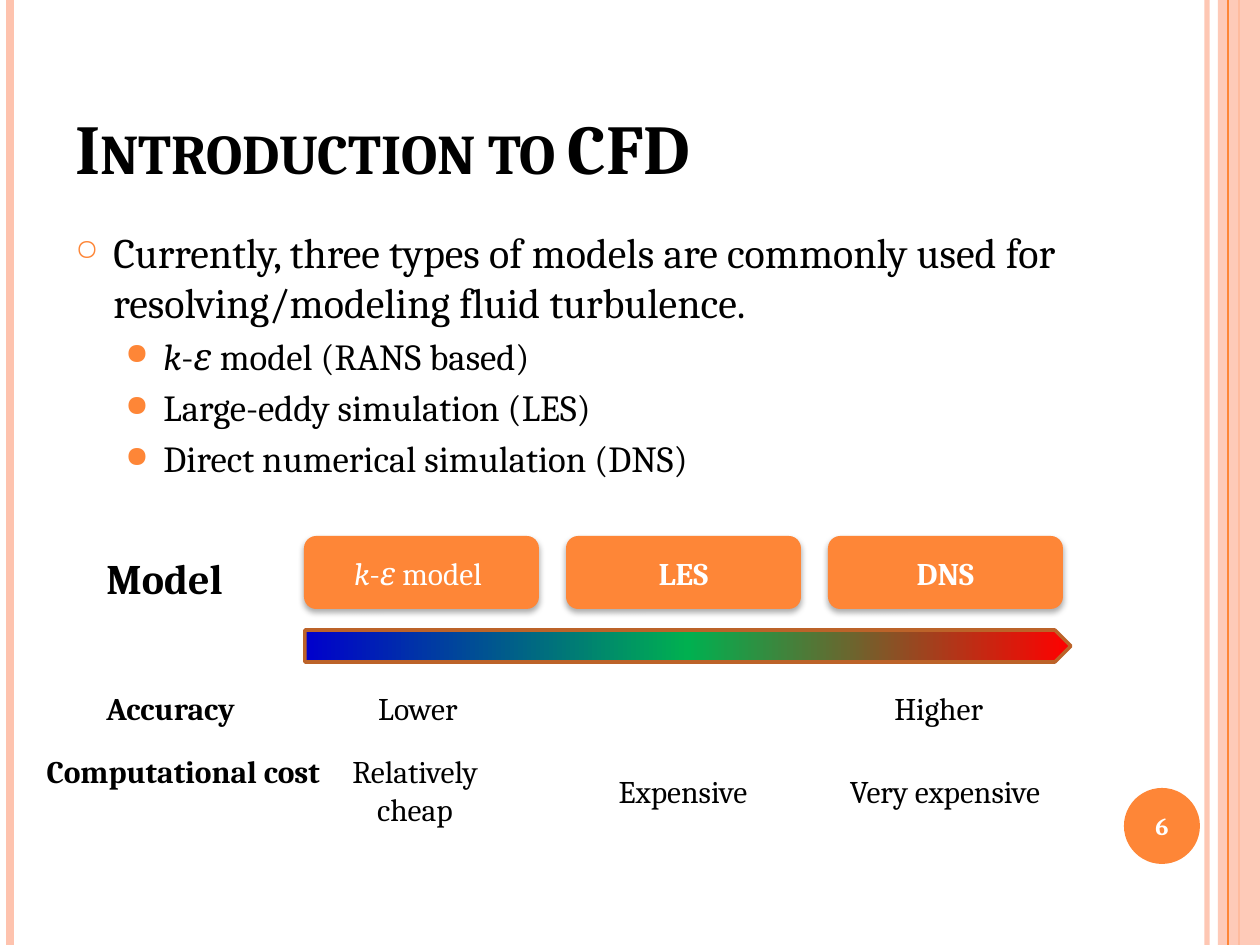
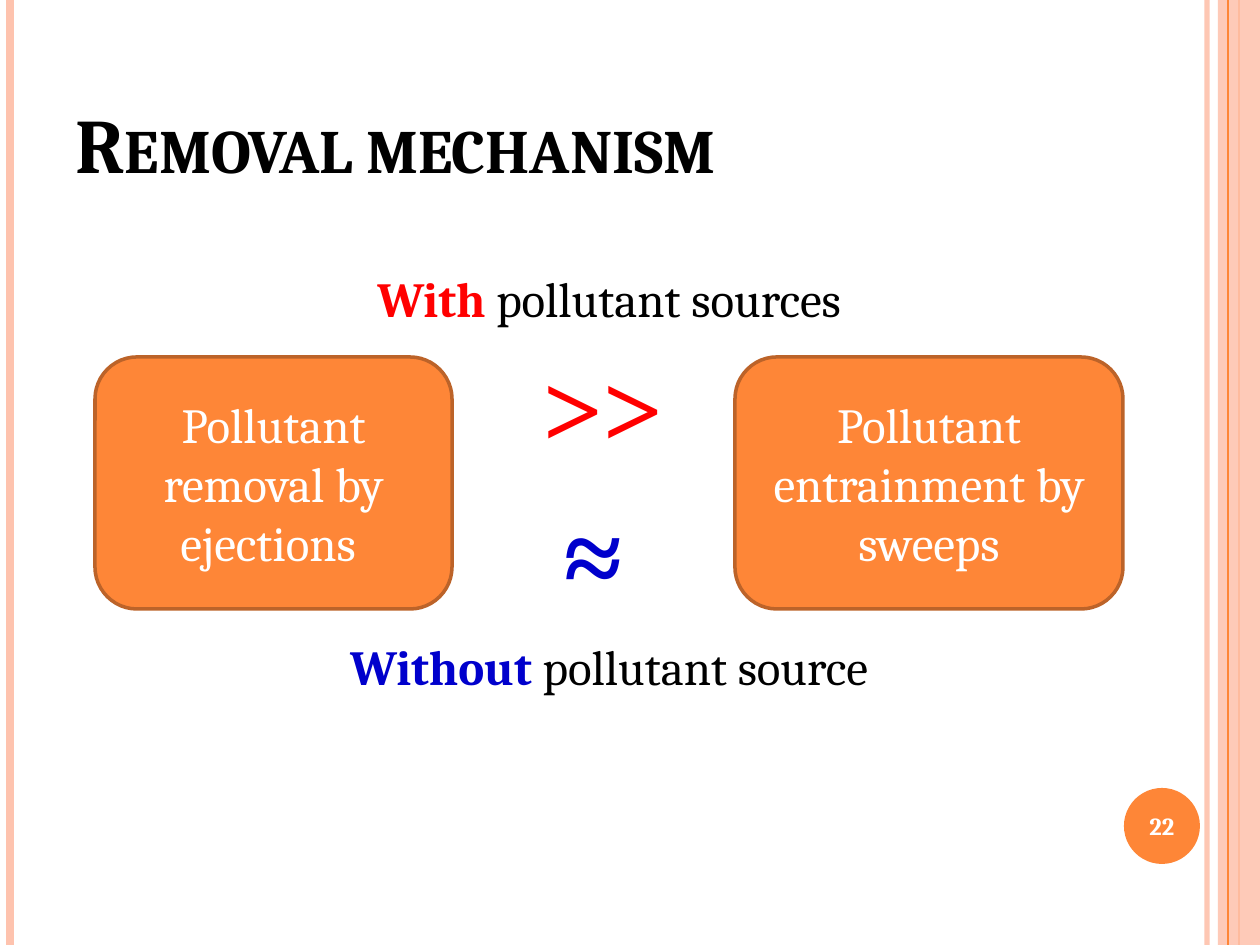
import dataclasses

import pptx
import pptx.dml.color
import pptx.enum.shapes
import pptx.enum.text
import pptx.oxml
import pptx.oxml.ns
import pptx.util

SHAPE = pptx.enum.shapes.MSO_SHAPE
ALIGN = pptx.enum.text.PP_ALIGN
ANCHOR = pptx.enum.text.MSO_ANCHOR
NAMESPACE = pptx.oxml.ns.nsdecls("a")
qn = pptx.oxml.ns.qn
SCALE = 914400 / 126


@dataclasses.dataclass(frozen=True)
class Theme:
    """Colours, fonts and type sizes of the deck."""
    orange: str = "FE8637"
    peach: str = "FEC3AE"
    rust: str = "BC6329"
    black: str = "000000"
    white: str = "FFFFFF"
    red: str = "FF0000"
    green: str = "00B050"
    blue: str = "0000CC"
    serif: str = "Cambria"
    symbols: str = "Times New Roman"
    number: int = 14
    label: int = 18
    bullet: int = 21
    lead: int = 24
    statement: int = 28
    title: int = 40
    short_title: int = 44
    relation: int = 60


THEME = Theme()


def px(length):
    """Turn pixels into EMU."""
    return pptx.util.Emu(round(length * SCALE))


def rgb(colour):
    """Turn a hex string into a colour."""
    return pptx.dml.color.RGBColor.from_string(colour)


def element(markup):
    """Parse one DrawingML element, its namespace added after the tag name."""
    tag, rest = markup.split(" ", 1)
    return pptx.oxml.parse_xml(f"{tag} {NAMESPACE} {rest}")


def set_alpha(colour_owner, percent):
    """Make the first colour inside an XML element translucent."""
    colour = next(colour_owner.iter(qn("a:srgbClr")))
    colour.append(element(f'<a:alpha val="{percent * 1000}"/>'))


def write(paragraph, content, size, colour=THEME.black, bold=False, align=None,
          family=THEME.serif):
    """Fill a paragraph from a string or from (text, differences) pairs."""
    runs = [(content, {})] if isinstance(content, str) else content
    paragraph.alignment = align
    font = paragraph.font
    font.name, font.size, font.bold = family, pptx.util.Pt(size), bold
    font.color.rgb = rgb(colour)
    for text, differences in runs:
        run = paragraph.add_run()
        run.text = text
        for key, value in differences.items():
            if key == "colour":
                run.font.color.rgb = rgb(value)
            else:
                setattr(run.font, key, value)


def add_text(slide, box, *lines, size=THEME.label, anchor=ANCHOR.TOP, **style):
    """Add a wrapping text box with one paragraph per line and return its frame."""
    frame = slide.shapes.add_textbox(*map(px, box)).text_frame
    frame.word_wrap = True
    frame.vertical_anchor = anchor
    for index, line in enumerate(lines):
        paragraph = frame.add_paragraph() if index else frame.paragraphs[0]
        write(paragraph, line, size, **style)
    return frame


def add_block(slide, kind, box, fill=THEME.orange, outline=None):
    """Add a flat preset shape."""
    block = slide.shapes.add_shape(kind, *map(px, box))
    block.shadow.inherit = False
    block.fill.solid()
    block.fill.fore_color.rgb = rgb(fill)
    if outline:
        block.line.color.rgb = rgb(outline)
        block.line.width = pptx.util.Pt(2)
    else:
        block.line.fill.background()
    return block


def label_block(block, content, size, **style):
    """Centre white text inside a shape."""
    frame = block.text_frame
    frame.word_wrap = True
    frame.vertical_anchor = ANCHOR.MIDDLE
    write(frame.paragraphs[0], content, size, THEME.white, align=ALIGN.CENTER, **style)


def add_rail(slide, x, height, colour, weight, alpha=None):
    """Draw a vertical rail of the given height."""
    rail = slide.shapes.add_connector(
        pptx.enum.shapes.MSO_CONNECTOR.STRAIGHT, px(x), 0, px(x), px(height))
    rail.line.color.rgb = rgb(colour)
    rail.line.width = pptx.util.Pt(weight)
    properties = rail._element.spPr
    properties.append(element("<a:effectLst />"))
    if alpha:
        set_alpha(properties, alpha)


def add_frame(slide, box):
    """Draw the rails and the side band along the edges of the page box."""
    x, y, width, height = box
    right = x + width
    add_rail(slide, right - 53, height, THEME.peach, 3, 93)
    add_rail(slide, x + 10, height, THEME.peach, 4.5)
    add_rail(slide, right - 21, height, THEME.orange, 1.5)
    band = add_block(slide, SHAPE.RECTANGLE, (right - 42, y, 42, height), THEME.peach)
    set_alpha(band._element.spPr, 87)
    add_rail(slide, right - 32, height, THEME.orange, 0.75)


def add_number(slide, box, number):
    """Draw the page number in its disc."""
    disc = add_block(slide, SHAPE.OVAL, box)
    frame = disc.text_frame
    frame.margin_left = frame.margin_right = 0
    label_block(disc, number, THEME.number, bold=True)


def add_page(deck, title, title_size, number):
    """Add a slide with the shared frame, title and page number."""
    slide = deck.slides.add_slide(deck.slide_layouts[6])
    add_frame(slide, (0, 0, 1260, 945))
    add_number(slide, (1124, 788, 76, 76), number)
    heading = add_text(slide, (63, 38, 1029, 157), title, size=title_size,
                       anchor=ANCHOR.BOTTOM, bold=True)
    heading.paragraphs[0]._p.pPr.find(qn("a:defRPr")).set("cap", "small")
    return slide


def k_epsilon(ending):
    """Give the runs of the k-ε model name."""
    return [("k", {"italic": True}), ("-", {}), ("ε", {"italic": True}), (ending, {})]


def add_bullets(slide, box, lead, items):
    """Write a lead sentence and its bulleted items."""
    frame = slide.shapes.add_textbox(*map(px, box)).text_frame
    frame.word_wrap = True
    for index, content in enumerate([lead, *items]):
        paragraph = frame.add_paragraph() if index else frame.paragraphs[0]
        mark, percent, margin, size = (
            ("●", 80, 88, THEME.bullet) if index else ("○", 70, 38, THEME.lead))
        properties = paragraph._p.get_or_add_pPr()
        properties.set("marL", str(px(margin)))
        properties.set("indent", str(px(-38)))
        properties.append(element(
            f'<a:buClr ><a:srgbClr val="{THEME.orange}"/></a:buClr>'))
        properties.append(element(f'<a:buSzPct val="{percent * 1000}"/>'))
        properties.append(element(f'<a:buChar char="{mark}"/>'))
        if index:
            paragraph.level = 1
            paragraph.space_before = pptx.util.Pt(4)
        write(paragraph, content, size)


def add_spectrum(slide, box):
    """Draw the arrow that runs from blue through green to red."""
    arrow = add_block(slide, SHAPE.PENTAGON, box, outline=THEME.rust)
    arrow.fill.gradient()
    arrow.fill.gradient_angle = 0
    stops = next(arrow._element.spPr.iter(qn("a:gsLst")))
    for stop in list(stops):
        stops.remove(stop)
    for index, colour in enumerate((THEME.blue, THEME.green, THEME.red)):
        stops.append(element(
            f'<a:gs pos="{index * 50000}"><a:srgbClr val="{colour}"/></a:gs>'))


def add_comparison(slide, box):
    """Compare the models by accuracy and cost along the spectrum arrow."""
    x, y, width, height = box
    scale_x = x + 284
    add_spectrum(slide, (scale_x, y + 94, 766, 32))
    for index, model in enumerate((k_epsilon(" model "), "LES", "DNS")):
        card = add_block(slide, SHAPE.ROUNDED_RECTANGLE,
                         (scale_x - 1 + index * 262, y, 235, 73))
        card._element.spPr.find(qn("a:effectLst")).append(element(
            '<a:outerShdw blurRad="44450" dist="27940" dir="5400000" rotWithShape="0">'
            f'<a:srgbClr val="{THEME.black}"><a:alpha val="32000"/></a:srgbClr>'
            '</a:outerShdw>'))
        label_block(card, model, THEME.label, bold=index > 0)

    accuracy_y, cost_y = y + 147, y + 210
    add_text(slide, (x + 73, y + 10, 210, 63), "Model", size=THEME.lead, bold=True)
    add_text(slide, (x + 73, accuracy_y, 199, 50), "Accuracy", bold=True)
    add_text(slide, (x, cost_y, 325, 89), "Computational cost",
             bold=True, align=ALIGN.CENTER)
    add_text(slide, (scale_x, accuracy_y, 226, 53), "Lower", align=ALIGN.CENTER)
    add_text(slide, (x + 861, accuracy_y, 179, 53), "Higher")
    add_text(slide, (x + 273, cost_y, 242, 89), "Relatively", "cheap",
             align=ALIGN.CENTER)
    add_text(slide, (x + 536, cost_y + 20, 252, 50), "Expensive", align=ALIGN.CENTER)
    add_text(slide, (x + 756, cost_y + 20, 336, 50), "Very expensive",
             align=ALIGN.CENTER)


def add_balance(slide, box):
    """Weigh ejections against sweeps, with and without pollutant sources."""
    x, y, width, height = box
    card_y, card_height = y + 95, 252
    cards = (("Pollutant removal by ejections ", x, 357),
             ("Pollutant entrainment by sweeps", x + width - 388, 388))
    for process, left, card_width in cards:
        card = add_block(slide, SHAPE.ROUNDED_RECTANGLE,
                         (left, card_y, card_width, card_height), outline=THEME.rust)
        label_block(card, process, THEME.statement)

    conditions = (("With", " pollutant sources", THEME.red, y),
                  ("Without", " pollutant source", THEME.blue, y + 368))
    for word, rest, colour, top in conditions:
        add_text(slide, (x + 178, top, 672, 72),
                 [(word, {"bold": True, "colour": colour}), (rest, {})],
                 size=THEME.statement, align=ALIGN.CENTER)

    relations = (("≈", THEME.blue, x + 399, y + 221), (">>", THEME.red, x + 409, y + 74))
    for sign, colour, left, top in relations:
        add_text(slide, (left, top, 199, 140), sign, size=THEME.relation, colour=colour,
                 bold=True, align=ALIGN.CENTER, family=THEME.symbols)


def main():
    """Build and save the deck."""
    deck = pptx.Presentation()
    deck.slide_width, deck.slide_height = px(1260), px(945)

    introduction = add_page(deck, "Introduction to CFD", THEME.title, "6")
    add_bullets(
        introduction, (63, 220, 1029, 290),
        "Currently, three types of models are commonly used for "
        "resolving/modeling fluid turbulence.",
        [k_epsilon(" model (RANS based)"),
         "Large-eddy simulation (LES)",
         "Direct numerical simulation (DNS)"])
    add_comparison(introduction, (21, 536, 1092, 299))

    removal = add_page(deck, "Removal mechanism", THEME.short_title, "22")
    add_balance(removal, (95, 262, 1028, 440))

    deck.save("out.pptx")


if __name__ == "__main__":
    main()
